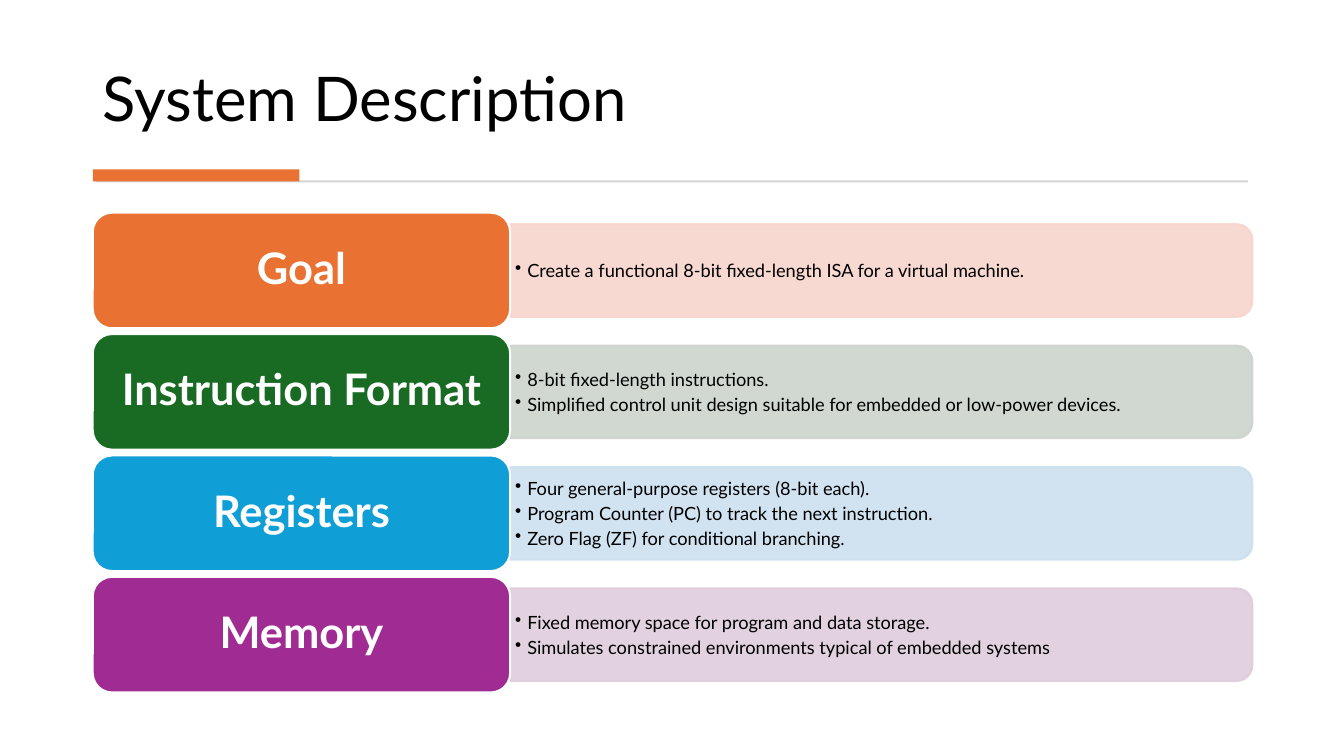
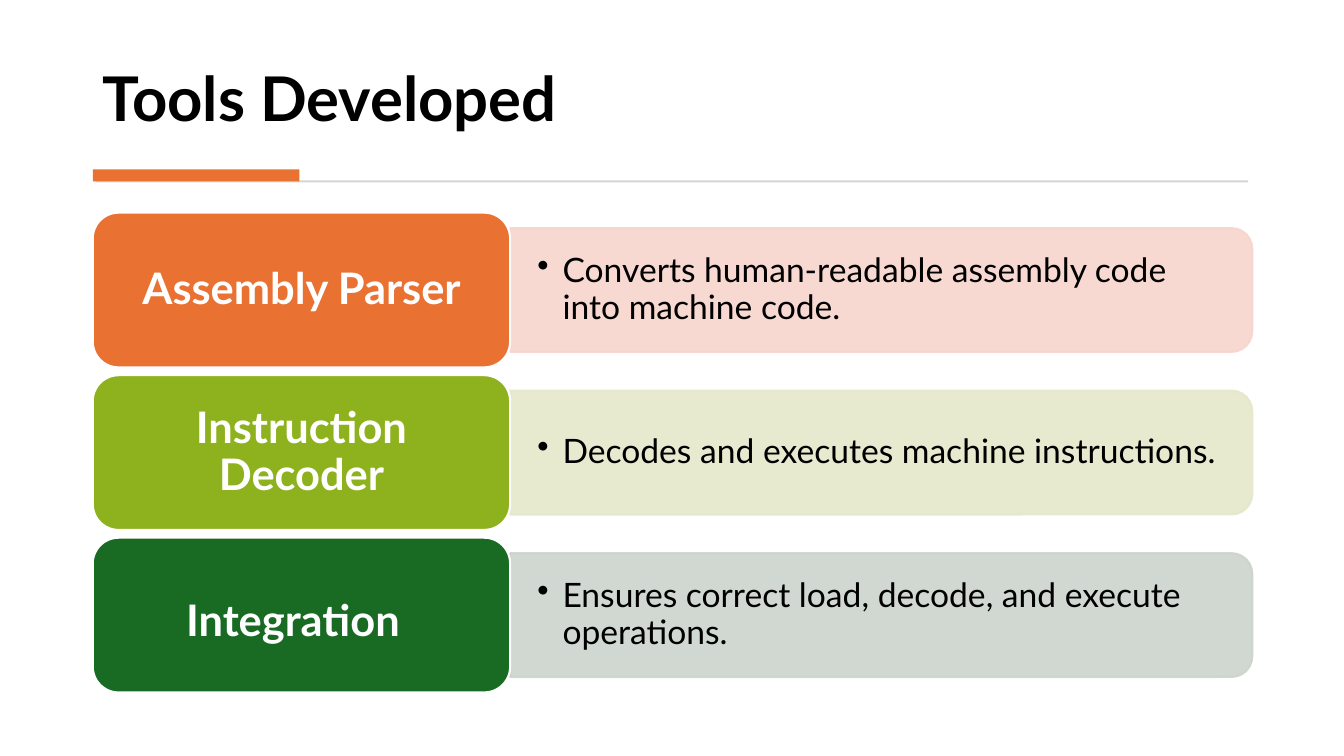
from dataclasses import dataclass

from lxml.etree import SubElement
from pptx import Presentation
from pptx.dml.color import RGBColor
from pptx.enum.shapes import MSO_SHAPE as Shape
from pptx.enum.text import MSO_ANCHOR as Anchor, PP_ALIGN as Align
from pptx.oxml.ns import qn
from pptx.util import Pt

EMU_PER_PX = 9144  # 100 px to the inch
FONT = "Lato"

BLACK = RGBColor(0x00, 0x00, 0x00)
WHITE = RGBColor(0xFF, 0xFF, 0xFF)
GREY = RGBColor(0xD5, 0xD5, 0xD5)
ORANGE = RGBColor(0xE9, 0x71, 0x32)
GREEN = RGBColor(0x19, 0x6B, 0x24)
LIME = RGBColor(0x8E, 0xB2, 0x1E)
BLUE = RGBColor(0x0F, 0x9E, 0xD5)
PURPLE = RGBColor(0xA0, 0x2B, 0x93)

TINTS = {
    ORANGE: RGBColor(0xF7, 0xD5, 0xCE),
    GREEN: RGBColor(0xCC, 0xD4, 0xCD),
    LIME: RGBColor(0xE5, 0xE8, 0xCA),
    BLUE: RGBColor(0xCC, 0xDF, 0xEF),
    PURPLE: RGBColor(0xDF, 0xCD, 0xDC),
}

LIST_TOP, LIST_HEIGHT = 211, 476
CARD_LEFT, CARD_WIDTH = 92, 414
PANEL_LEFT, PANEL_WIDTH, POINTS_WIDTH = CARD_LEFT + CARD_WIDTH, 736, 730
GAP_SHARE = 0.05    # gap between cards, as a share of card height
PANEL_SHARE = 0.8   # panel height, as a share of card height

TITLE_TEXT = {"size": Pt(44), "color": BLACK}
HEADING_TEXT = {"size": Pt(31), "color": WHITE, "bold": True}


@dataclass
class Topic:
    heading: str
    accent: RGBColor
    points: list
    tail_size: int = 0  # point size of a space after the heading


@dataclass
class PointStyle:
    size: int
    indent: int
    margins: tuple
    line_spacing: float
    space_after: int


COMPACT = PointStyle(13, 12, (5, 3), 1.0, 2)
LARGE = PointStyle(24, 25, (27, 14), 0.9, 4)


def px(length):
    return round(length * EMU_PER_PX)


def box(*lengths):
    return [px(length) for length in lengths]


def apply(target, values):
    for name, value in values.items():
        setattr(target, name, value)


def add_run(paragraph, text, text_format):
    run = paragraph.add_run()
    run.text = text
    values = dict(text_format)
    run.font.color.rgb = values.pop("color")
    apply(run.font, {"name": FONT, **values})


def set_frame(shape, margins, anchor):
    """Wrap the text; margins are (left and right, top and bottom)."""
    across, down = box(*margins)
    apply(shape.text_frame, {
        "word_wrap": True, "vertical_anchor": anchor,
        "margin_left": across, "margin_right": across,
        "margin_top": down, "margin_bottom": down,
    })
    return shape.text_frame


def add_block(slide, kind, area, fill, line=None):
    shape = slide.shapes.add_shape(kind, *box(*area))
    shape.shadow.inherit = False
    shape.fill.solid()
    shape.fill.fore_color.rgb = fill
    if line is None:
        shape.line.fill.background()
    else:
        shape.line.color.rgb = line
        shape.line.width = Pt(1.5)
    return shape


def add_header(slide, title, bold):
    text_box = slide.shapes.add_textbox(*box(92, 28, 1149, 111))
    paragraph = set_frame(text_box, (10, 5), Anchor.BOTTOM).paragraphs[0]
    paragraph.line_spacing = 0.9
    add_run(paragraph, title, {**TITLE_TEXT, "bold": bold})
    add_block(slide, Shape.RECTANGLE, (95, 179, 1143, 2), GREY)
    add_block(slide, Shape.RECTANGLE, (92, 168, 205, 12), ORANGE)


def add_panel(slide, middle, height, tint):
    """Add a panel rounded on its right side only: a top-rounded shape turned."""
    left = PANEL_LEFT + (PANEL_WIDTH - height) / 2
    area = (left, middle - PANEL_WIDTH / 2, height, PANEL_WIDTH)
    panel = add_block(slide, Shape.ROUND_2_SAME_RECTANGLE, area, tint, tint)
    panel.rotation = 90
    for color in panel.element.spPr.iter(qn("a:srgbClr")):
        SubElement(color, qn("a:alpha"), val="90000")


def add_points(slide, middle, height, points, style):
    text_box = slide.shapes.add_textbox(
        *box(PANEL_LEFT, middle - height / 2, POINTS_WIDTH, height))
    frame = set_frame(text_box, style.margins, Anchor.MIDDLE)
    for index, point in enumerate(points):
        paragraph = frame.add_paragraph() if index else frame.paragraphs[0]
        apply(paragraph, {"line_spacing": style.line_spacing,
                          "space_after": Pt(style.space_after)})
        add_run(paragraph, point, {"size": Pt(style.size), "color": BLACK})
        properties = paragraph._p.get_or_add_pPr()
        properties.set("marL", str(px(style.indent)))
        properties.set("indent", str(-px(style.indent)))
        SubElement(properties, qn("a:buChar"), char="•")


def add_card(slide, top, height, topic):
    area = (CARD_LEFT, top, CARD_WIDTH, height)
    card = add_block(slide, Shape.ROUNDED_RECTANGLE, area, topic.accent, WHITE)
    paragraph = set_frame(card, (13, 6), Anchor.MIDDLE).paragraphs[0]
    apply(paragraph, {"alignment": Align.CENTER, "line_spacing": 0.9})
    add_run(paragraph, topic.heading, HEADING_TEXT)
    if topic.tail_size:
        add_run(paragraph, " ", {"size": Pt(topic.tail_size), "color": WHITE})


def add_topic_slide(presentation, title, topics, style, bold=False):
    slide = presentation.slides.add_slide(presentation.slide_layouts[6])
    add_header(slide, title, bold)
    count = len(topics)
    card_height = LIST_HEIGHT / (count + (count - 1) * GAP_SHARE)
    panel_height = card_height * PANEL_SHARE
    for index, topic in enumerate(topics):
        top = LIST_TOP + index * card_height * (1 + GAP_SHARE)
        middle = top + card_height / 2
        add_panel(slide, middle, panel_height, TINTS[topic.accent])
        add_points(slide, middle, panel_height, topic.points, style)
        add_card(slide, top, card_height, topic)


def main():
    presentation = Presentation()
    apply(presentation, {"slide_width": px(1333), "slide_height": px(750)})
    add_topic_slide(presentation, "System Description", [
        Topic("Goal", ORANGE, [
            "Create a functional 8-bit fixed-length ISA for a virtual machine.",
        ]),
        Topic("Instruction Format", GREEN, [
            "8-bit fixed-length instructions.",
            "Simplified control unit design suitable for embedded or low-power devices.",
        ]),
        Topic("Registers", BLUE, [
            "Four general-purpose registers (8-bit each).",
            "Program Counter (PC) to track the next instruction.",
            "Zero Flag (ZF) for conditional branching.",
        ]),
        Topic("Memory", PURPLE, [
            "Fixed memory space for program and data storage.",
            "Simulates constrained environments typical of embedded systems",
        ]),
    ], COMPACT)
    add_topic_slide(presentation, "Tools Developed", [
        Topic("Assembly Parser", ORANGE, [
            "Converts human-readable assembly code into machine code.",
        ]),
        Topic("Instruction Decoder", LIME, [
            "Decodes and executes machine instructions.",
        ]),
        Topic("Integration", GREEN, [
            "Ensures correct load, decode, and execute operations.",
        ], tail_size=48),
    ], LARGE, bold=True)
    presentation.save("out.pptx")


if __name__ == "__main__":
    main()
